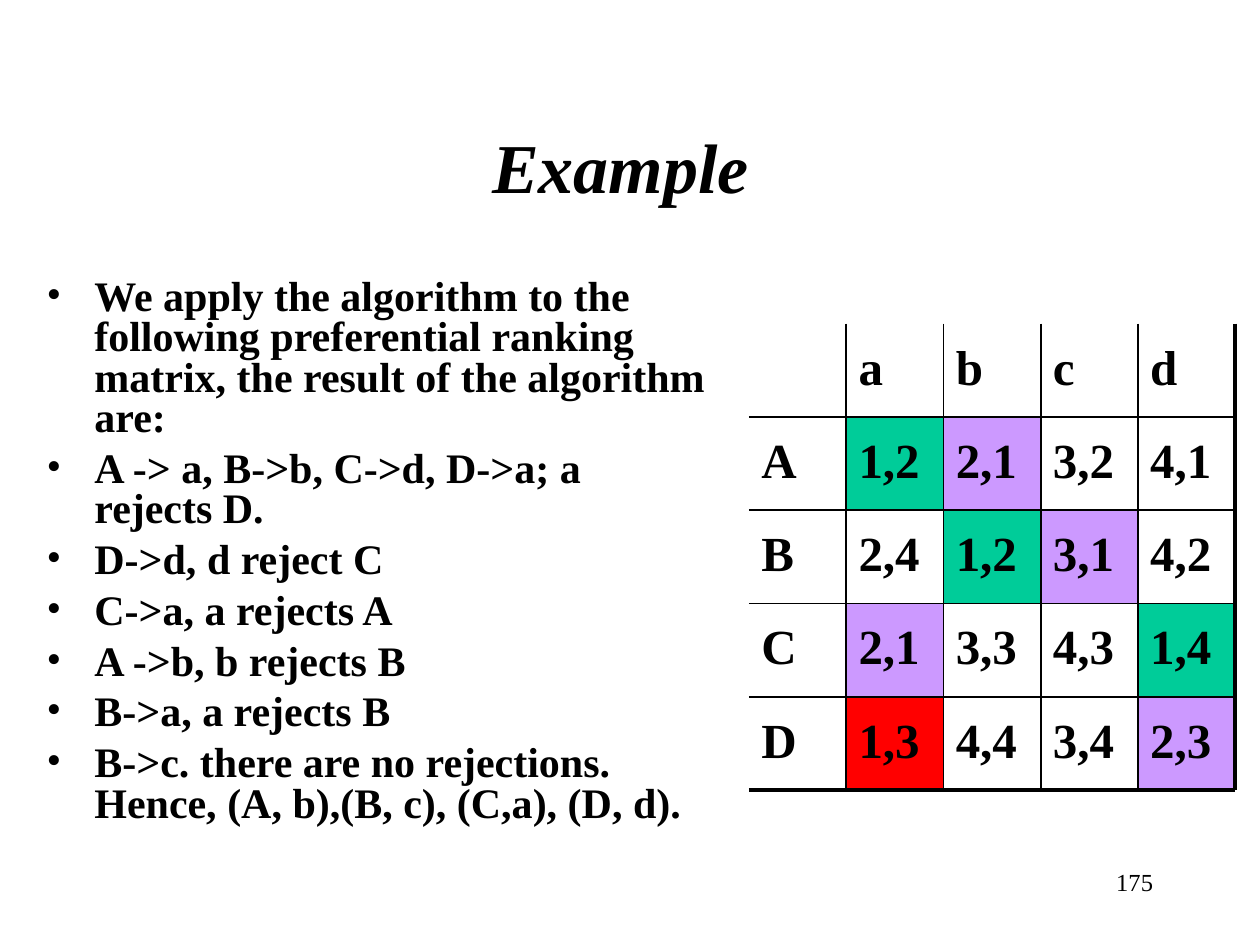
from dataclasses import dataclass

import pptx
import pptx.dml.color
import pptx.enum.shapes
import pptx.enum.text
import pptx.oxml.ns
import pptx.util

RGBColor = pptx.dml.color.RGBColor
PP_ALIGN = pptx.enum.text.PP_ALIGN
ANCHOR = pptx.enum.text.MSO_ANCHOR
RECTANGLE = pptx.enum.shapes.MSO_SHAPE.RECTANGLE
STRAIGHT = pptx.enum.shapes.MSO_CONNECTOR.STRAIGHT

BLACK = RGBColor(0x00, 0x00, 0x00)
GREEN = RGBColor(0x00, 0xCC, 0x99)
PURPLE = RGBColor(0xCC, 0x99, 0xFF)
RED = RGBColor(0xFF, 0x00, 0x00)

FONT = "Times New Roman"
SLIDE_W, SLIDE_H = pptx.util.Inches(10), pptx.util.Inches(7.5)
COL, ROW = SLIDE_W / 120, SLIDE_H / 90  # layout grid
THIN, THICK = 1, 2.25  # rules in points


@dataclass(frozen=True)
class Box:
    """A place on the slide, in grid columns and rows."""
    x: float
    y: float
    w: float
    h: float

    def emu(self) -> tuple[int, ...]:
        return (round(self.x * COL), round(self.y * ROW),
                round(self.w * COL), round(self.h * ROW))

    def cell(self, i: int, j: int, n: int) -> "Box":
        """The cell in row i and column j of an n by n division."""
        w, h = self.w / n, self.h / n
        return Box(self.x + j * w, self.y + i * h, w, h)


TITLE = Box(9, 8, 102, 15)
BODY = Box(3.25, 26, 65.2, 54)
MATRIX = Box(71.33, 30.83, 46.3, 44.4)
NUMBER = Box(86, 82, 25, 6)

STEPS = [
    "We apply the algorithm to the following preferential ranking matrix, "
    "the result of the algorithm are:",
    "A -> a, B->b, C->d, D->a; a rejects D.",
    "D->d, d reject C",
    "C->a, a rejects A",
    "A ->b, b rejects B",
    "B->a, a rejects B",
    "B->c. there are no rejections. Hence, (A, b),(B, c), (C,a), (D, d).",
]
RANKS = [
    ["", "a", "b", "c", "d"],
    ["A", "1,2", "2,1", "3,2", "4,1"],
    ["B", "2,4", "1,2", "3,1", "4,2"],
    ["C", "2,1", "3,3", "4,3", "1,4"],
    ["D", "1,3", "4,4", "3,4", "2,3"],
]
# First proposals are green, final matches purple, the rejected one red
FILLS = {
    (1, 1): GREEN, (2, 2): GREEN, (3, 4): GREEN,
    (1, 2): PURPLE, (2, 3): PURPLE, (3, 1): PURPLE, (4, 4): PURPLE,
    (4, 1): RED,
}


def add_run(p, text: str, size: float, **extra) -> None:
    r = p.add_run()
    r.text = text
    fmt = {"name": FONT, "size": pptx.util.Pt(size), **extra}
    for key, value in fmt.items():
        setattr(r.font, key, value)
    r.font.color.rgb = BLACK


def add_text_frame(s, box: Box):
    tf = s.shapes.add_textbox(*box.emu()).text_frame
    tf.word_wrap = True
    return tf


def add_filled_frame(s, box: Box, fill: RGBColor):
    sp = s.shapes.add_shape(RECTANGLE, *box.emu())
    sp.shadow.inherit = False
    sp.fill.solid()
    sp.fill.fore_color.rgb = fill
    sp.line.fill.background()
    return sp.text_frame


def add_rule(s, start: tuple[int, int], end: tuple[int, int], width: float) -> None:
    line = s.shapes.add_connector(STRAIGHT, *start, *end)
    line.line.color.rgb = BLACK
    line.line.width = pptx.util.Pt(width)
    spPr = line._element.spPr
    spPr.append(spPr.makeelement(pptx.oxml.ns.qn("a:effectLst"), {}))


def add_bullet(p) -> None:
    pPr = p._p.get_or_add_pPr()
    indent = pptx.util.Inches(0.38)
    pPr.set("marL", str(indent))
    pPr.set("indent", str(-indent))
    for tag, attrs in (("a:buFont", {"typeface": FONT}), ("a:buChar", {"char": "•"})):
        pPr.append(pPr.makeelement(pptx.oxml.ns.qn(tag), attrs))


def add_title(s) -> None:
    sp = s.shapes.title
    sp.left, sp.top, sp.width, sp.height = TITLE.emu()
    tf = sp.text_frame
    tf.vertical_anchor = ANCHOR.MIDDLE
    p = tf.paragraphs[0]
    p.alignment = PP_ALIGN.CENTER
    add_run(p, "Example", 40, bold=True, italic=True)
    add_run(p, " ", 44, italic=True)


def add_steps(s) -> None:
    tf = add_text_frame(s, BODY)
    for i, step in enumerate(STEPS):
        p = tf.add_paragraph() if i else tf.paragraphs[0]
        p.line_spacing = 0.8
        p.space_before = pptx.util.Pt(6 if i else 0)
        add_bullet(p)
        add_run(p, step, 24, bold=True)


def add_matrix(s) -> None:
    n = len(RANKS)
    # Cells
    for i, row in enumerate(RANKS):
        for j, text in enumerate(row):
            if not text:
                continue
            box = MATRIX.cell(i, j, n)
            fill = FILLS.get((i, j))
            tf = add_filled_frame(s, box, fill) if fill else add_text_frame(s, box)
            tf.vertical_anchor = ANCHOR.TOP
            tf.margin_top = pptx.util.Inches(0.1)
            p = tf.paragraphs[0]
            p.alignment = PP_ALIGN.LEFT
            add_run(p, text, 28, bold=True)
    # Rules: open at the left and top, heavy at the right and bottom
    left, top, width, height = MATRIX.emu()
    right, bottom = left + width, top + height
    for k in range(1, n + 1):
        x, y, _, _ = MATRIX.cell(k, k, n).emu()
        weight = THICK if k == n else THIN
        add_rule(s, (left, y), (right, y), weight)
        add_rule(s, (x, top), (x, bottom), weight)


def add_slide_number(s) -> None:
    p = add_text_frame(s, NUMBER).paragraphs[0]
    p.alignment = PP_ALIGN.RIGHT
    add_run(p, "175", 14)


def main() -> None:
    prs = pptx.Presentation()
    prs.slide_width, prs.slide_height = SLIDE_W, SLIDE_H
    s = prs.slides.add_slide(prs.slide_layouts[5])  # title only
    add_title(s)
    add_steps(s)
    add_matrix(s)
    add_slide_number(s)
    prs.save("out.pptx")


if __name__ == "__main__":
    main()
